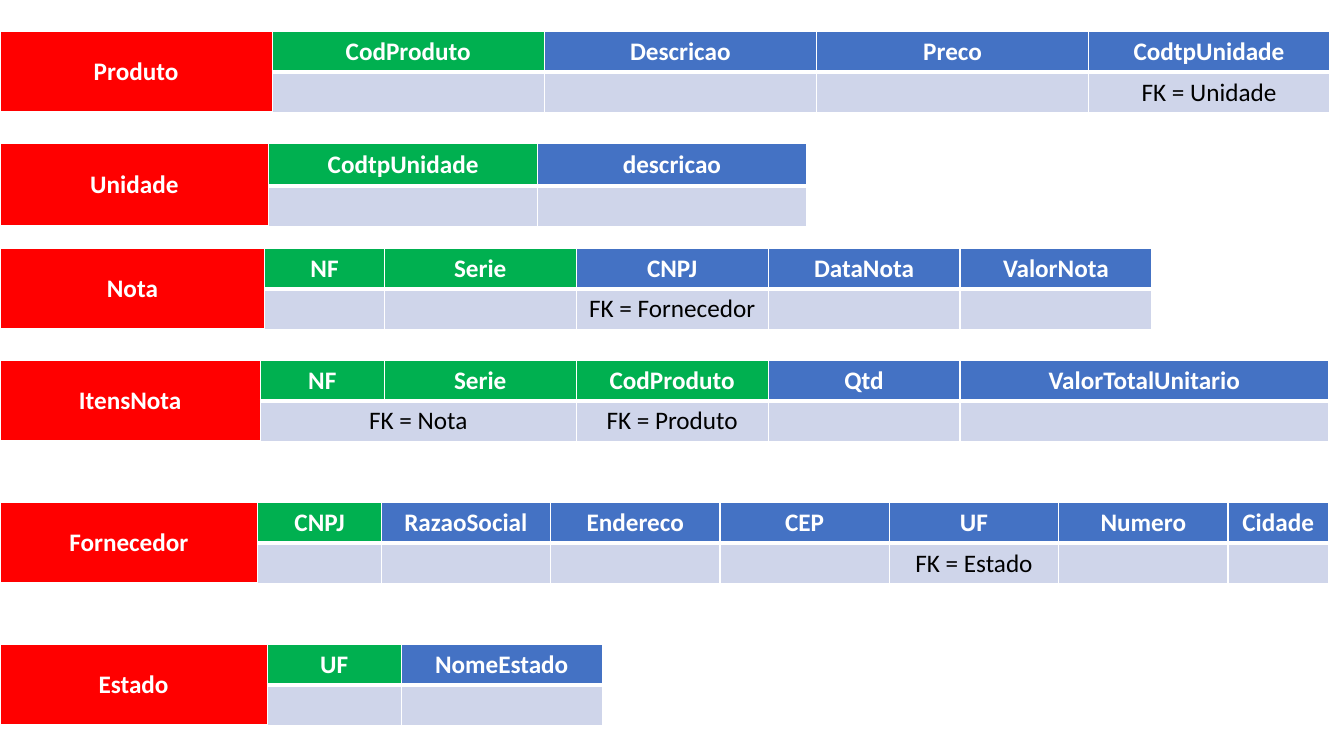
"""Build a slide showing six relational tables with their keys and foreign keys."""
from lxml.etree import SubElement
from pptx import Presentation
from pptx.dml.color import RGBColor
from pptx.enum.text import MSO_ANCHOR, PP_ALIGN
from pptx.oxml.ns import qn
from pptx.util import Pt

RED = RGBColor(0xFF, 0x00, 0x00)
GREEN = RGBColor(0x00, 0xB0, 0x50)
BLUE = RGBColor(0x44, 0x72, 0xC4)
PALE = RGBColor(0xCF, 0xD5, 0xEA)
WHITE = RGBColor(0xFF, 0xFF, 0xFF)
BLACK = RGBColor(0x00, 0x00, 0x00)

ROW_HEIGHT = 28.8
THIN, THICK = 1, 3

# name, top, header height, column widths, number of key fields, fields, foreign keys
ENTITIES = [
    ("Produto", 22.3, ROW_HEIGHT, [194.4] * 4 + [172.1], 1,
     ["CodProduto", "Descricao", "Preco", "CodtpUnidade"], {4: "FK = Unidade"}),
    ("Unidade", 102.2, 30.6, [192] * 3, 1,
     ["CodtpUnidade", "descricao"], {}),
    ("Nota", 177.1, ROW_HEIGHT, [189.2, 85.3] + [137.1] * 4, 2,
     ["NF", "Serie", "CNPJ", "DataNota", "ValorNota"], {3: "FK = Fornecedor"}),
    ("ItensNota", 257.1, ROW_HEIGHT, [186, 88.5] + [137.1] * 3 + [263.4], 3,
     ["NF", "Serie", "CodProduto", "Qtd", "ValorTotalUnitario"],
     {1: "FK = Nota", 3: "FK = Produto"}),
    ("Fornecedor", 358.6, ROW_HEIGHT, [184.2, 88.1] + [121] * 5 + [71.7], 1,
     ["CNPJ", "RazaoSocial", "Endereco", "CEP", "UF", "Numero", "Cidade"],
     {5: "FK = Estado"}),
    ("Estado", 460.1, ROW_HEIGHT, [190.8, 95.8, 143.6], 1,
     ["UF", "NomeEstado"], {}),
]


def add_borders(cell, bottom):
    """Draw white borders on the four sides of a cell."""
    properties = cell._tc.get_or_add_tcPr()
    for side, width in (("L", THIN), ("R", THIN), ("T", THIN), ("B", bottom)):
        line = SubElement(properties, qn(f"a:ln{side}"), w=str(Pt(width)))
        fill = SubElement(line, qn("a:solidFill"))
        SubElement(fill, qn("a:srgbClr"), val=str(WHITE))


def fill_cell(cell, text, fill_color, font_color, bold):
    """Colour a cell and write its centred text."""
    cell.fill.solid()
    cell.fill.fore_color.rgb = fill_color
    cell.vertical_anchor = MSO_ANCHOR.MIDDLE
    if text:
        paragraph = cell.text_frame.paragraphs[0]
        paragraph.alignment = PP_ALIGN.CENTER
        run = paragraph.add_run()
        run.text = text
        run.font.name = "Calibri"
        run.font.size = Pt(18)
        run.font.bold = bold
        run.font.color.rgb = font_color


presentation = Presentation()
presentation.slide_width = Pt(960)
presentation.slide_height = Pt(540)
slide = presentation.slides.add_slide(presentation.slide_layouts[6])

for name, top, header_height, widths, key_count, fields, foreign_keys in ENTITIES:
    table = slide.shapes.add_table(
        2, len(widths), Pt(0), Pt(top), Pt(sum(widths)), Pt(header_height + ROW_HEIGHT)).table
    table.rows[0].height = Pt(header_height)
    table.rows[1].height = Pt(ROW_HEIGHT)

    for index, width in enumerate(widths):
        table.columns[index].width = Pt(width)
        add_borders(table.cell(0, index), THICK)
        add_borders(table.cell(1, index), THIN)

    fill_cell(table.cell(0, 0), name, RED, WHITE, True)
    for index, field in enumerate(fields, start=1):
        header_color = GREEN if index <= key_count else BLUE
        fill_cell(table.cell(0, index), field, header_color, WHITE, True)
        fill_cell(table.cell(1, index), foreign_keys.get(index), PALE, BLACK, False)

    table.cell(0, 0).merge(table.cell(1, 0))
    if name == "ItensNota":
        table.cell(1, 1).merge(table.cell(1, 2))

presentation.save("out.pptx")
